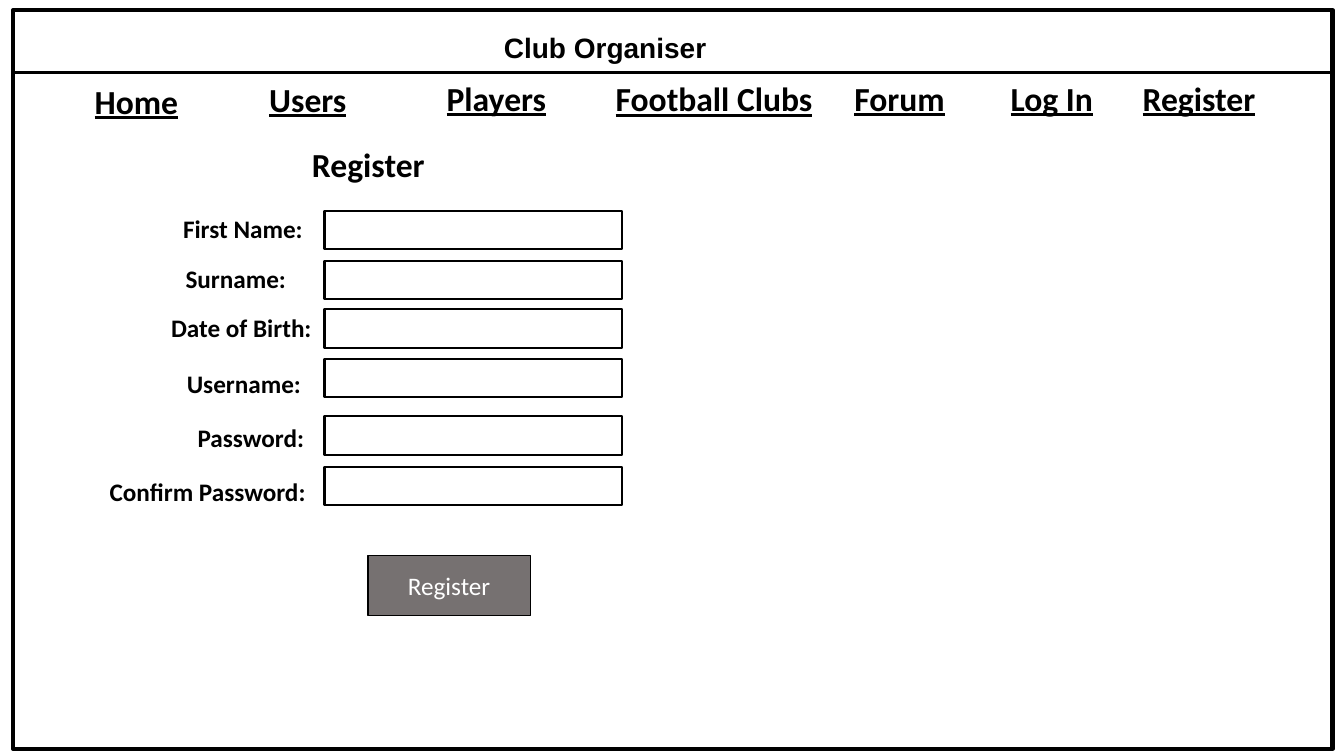
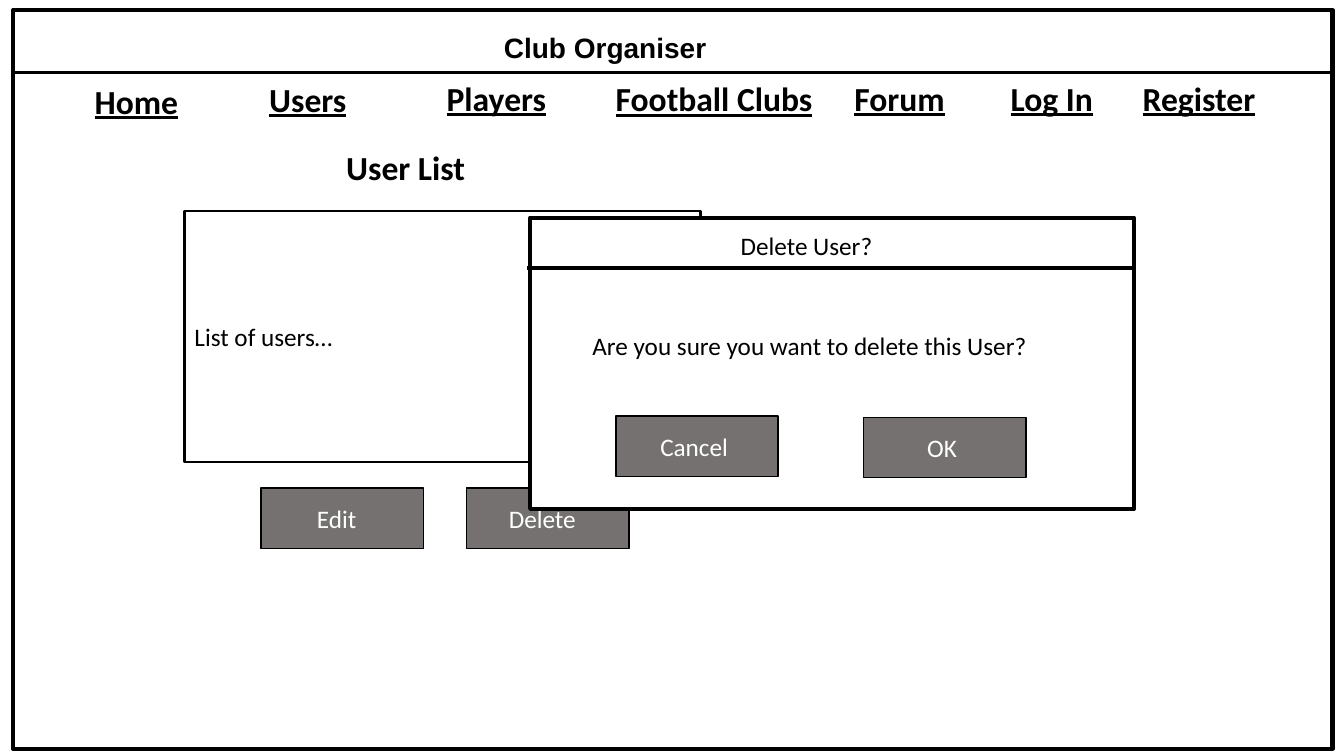
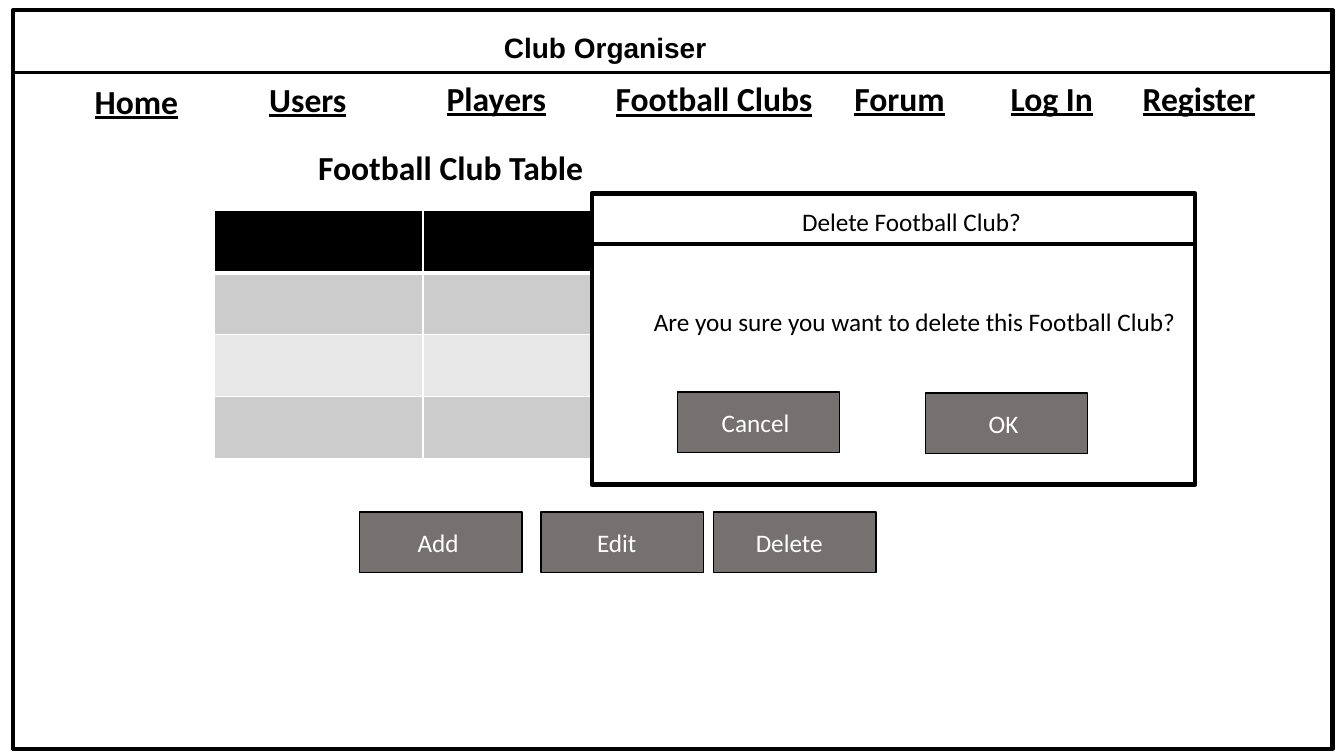
import pptx
import pptx.util
import pptx.dml.color
import pptx.enum.shapes
import pptx.enum.text
import pptx.oxml
import pptx.oxml.ns
import lxml.etree

BLACK, WHITE, GREY = "000000", "FFFFFF", "767171"
HEADER_FILL, BAND_FILLS = BLACK, ("CCCCCC", "E7E7E7")
BODY_FONT, TITLE_FONT = "Calibri", "Arial"

FRAME = (9.4, 7.2, 942.4, 527.8)
HEADER_LINE = 51.8
SITE_TITLE = ("Club Organiser", (278.6, 18, 307.4, 31.5))
MENU = [
    ("Home", 23, 54, 149),
    ("Users", 145.4, 52.6, 149),
    ("Players", 280.1, 51.8, 149),
    ("Football Clubs", 429.8, 52.4, 160.6),
    ("Forum", 562.3, 51.8, 160.6),
    ("Log In", 688.3, 51.8, 126),
    ("Register", 793.4, 51.8, 126),
]
MENU_HEIGHT, LABEL_HEIGHT = 36, 28.8
BUTTON_SIZE = (116, 43.2)
SPACE_WIDTH = 4

FIELD_LEFT, FIELD_SIZE = 231.8, (212.4, 27.4)
FIELDS = [
    ("First Name:", 120.2, 149, 106.6, 150.5),
    ("Surname:", 120.2, 184.3, 96.5, 186.5),
    ("Date of Birth:", 112.3, 219.6, 120.2, 221),
    ("Username:", 126, 259.2, 96.5, 256.3),
    ("Password:", 131, 298.1, 96.5, 297.4),
    ("Confirm Password:", 69.1, 337, 158.4, 333.4),
]
USER_LIST = ("List of users…", (131.8, 150.5, 368.6, 179.3))
USER_BUTTONS = [("Edit", 186.5, 2), ("Delete", 333.4, 2)]
CLUB_BUTTONS = [("Add", 257, 1), ("Edit", 386.6, 2), ("Delete", 509.8, 2)]
CLUB_TABLE = {"left": 153.4, "top": 150.5, "rows": 4, "columns": 4,
              "column_width": 148.7, "row_height": 44.3}
DIALOG_SIZE = (431.3, 208)

pt = pptx.util.Pt
ALIGN = pptx.enum.text.PP_ALIGN
RECTANGLE = pptx.enum.shapes.MSO_SHAPE.RECTANGLE
STRAIGHT = pptx.enum.shapes.MSO_CONNECTOR.STRAIGHT


def color(value):
    return pptx.dml.color.RGBColor.from_string(value)


def write(shape, text, size=18, font=BODY_FONT, ink=BLACK, bold=False,
          underline=False, align=ALIGN.CENTER):
    shape.text_frame.word_wrap = True
    para = shape.text_frame.paragraphs[0]
    para.alignment = align
    span = para.add_run()
    span.text = text
    span.font.size = pt(size)
    span.font.name = font
    span.font.bold = bold
    span.font.underline = underline
    span.font.color.rgb = color(ink)


def add_text(shapes, text, place, **style):
    box = shapes.add_textbox(*map(pt, place))
    write(box, text, **style)
    box.text_frame.auto_size = pptx.enum.text.MSO_AUTO_SIZE.SHAPE_TO_FIT_TEXT


def add_box(shapes, place, weight, fill=None):
    box = shapes.add_shape(RECTANGLE, *map(pt, place))
    box.shadow.inherit = False
    if fill:
        box.fill.solid()
        box.fill.fore_color.rgb = color(fill)
    else:
        box.fill.background()
    box.line.color.rgb = color(BLACK)
    box.line.width = pt(weight)
    box.text_frame.vertical_anchor = pptx.enum.text.MSO_ANCHOR.MIDDLE
    return box


def add_rule(shapes, left, right, top, weight):
    rule = shapes.add_connector(STRAIGHT, pt(left), pt(top), pt(right), pt(top))
    rule.line.color.rgb = color(BLACK)
    rule.line.width = pt(weight)
    lxml.etree.SubElement(rule._element.spPr, pptx.oxml.ns.qn("a:effectLst"))


def add_button(shapes, text, left, top, offset=0):
    button = add_box(shapes, (left, top, *BUTTON_SIZE), 1, GREY)
    button.text_frame.margin_right = pt(7.2 + offset * SPACE_WIDTH)
    write(button, text, ink=WHITE)


def add_dialog(page, left, top, subject, title_width):
    shapes = page.shapes.add_group_shape().shapes
    add_box(shapes, (left, top, *DIALOG_SIZE), 3, WHITE)
    add_rule(shapes, left - 2.2, left + DIALOG_SIZE[0], top + 36, 3)
    add_text(shapes, f"Delete {subject}?",
             (left + 143.3, top + 5.8, title_width, LABEL_HEIGHT), align=ALIGN.LEFT)
    add_text(shapes, f"Are you sure you want to delete this {subject}?",
             (left + 37.4, top + 77, 401, LABEL_HEIGHT), align=ALIGN.LEFT)
    add_button(shapes, "OK", left + 238.3, top + 142.6, 1)
    add_button(shapes, "Cancel", left + 61.2, top + 141.8, 1)


def set_borders(cell, **weights):
    properties = cell._tc.get_or_add_tcPr()
    for position, side in enumerate("LRTB"):
        border = pptx.oxml.parse_xml(
            f'<a:ln{side} {pptx.oxml.ns.nsdecls("a")} w="{pt(weights.get(side, 1))}">'
            f'<a:solidFill><a:srgbClr val="{WHITE}"/></a:solidFill></a:ln{side}>')
        properties.insert(position, border)


def add_club_table(page, left, top, rows, columns, column_width, row_height):
    table = page.shapes.add_table(
        rows, columns, pt(left), pt(top),
        pt(columns * column_width), pt(rows * row_height)).table
    for column in table.columns:
        column.width = pt(column_width)
    for index, row in enumerate(table.rows):
        row.height = pt(row_height)
        for cell in row.cells:
            cell.fill.solid()
            fill = BAND_FILLS[(index - 1) % 2] if index else HEADER_FILL
            cell.fill.fore_color.rgb = color(fill)
            set_borders(cell, B=1 if index else 3, T=3 if index == 1 else 1)


def add_page(heading, left, top, width):
    page = deck.slides.add_slide(deck.slide_layouts[6])
    shapes = page.shapes
    add_box(shapes, FRAME, 3)
    add_text(shapes, *SITE_TITLE, size=20, font=TITLE_FONT, bold=True)
    add_rule(shapes, FRAME[0], FRAME[0] + FRAME[2], HEADER_LINE, 2.25)
    for text, *place in MENU:
        add_text(shapes, text, (*place, MENU_HEIGHT), size=24, bold=True, underline=True)
    add_text(shapes, heading, (left, top, width, MENU_HEIGHT), size=24, bold=True)
    return page


deck = pptx.Presentation()
deck.slide_width, deck.slide_height = pt(960), pt(540)

register = add_page("Register", 188.6, 99.4, 149)
for label, left, top, width, field_top in FIELDS:
    add_text(register.shapes, label, (left, top, width, LABEL_HEIGHT), bold=True)
    add_box(register.shapes, (FIELD_LEFT, field_top, *FIELD_SIZE), 1.5)
add_button(register.shapes, "Register", 262.8, 396.7)

users = add_page("User List", 215.3, 101.5, 149)
list_text, list_place = USER_LIST
write(add_box(users.shapes, list_place, 1.5), list_text, align=ALIGN.LEFT)
for text, left, offset in USER_BUTTONS:
    add_button(users.shapes, text, left, 348.5, offset)
add_dialog(users, 378.7, 155.5, "User", 126)

clubs = add_page("Football Club Table", 214.6, 101.5, 214.6)
add_club_table(clubs, **CLUB_TABLE)
for text, left, offset in CLUB_BUTTONS:
    add_button(clubs.shapes, text, left, 365.8, offset)
add_dialog(clubs, 422.6, 138.2, "Football Club", 182.2)

deck.save("out.pptx")
